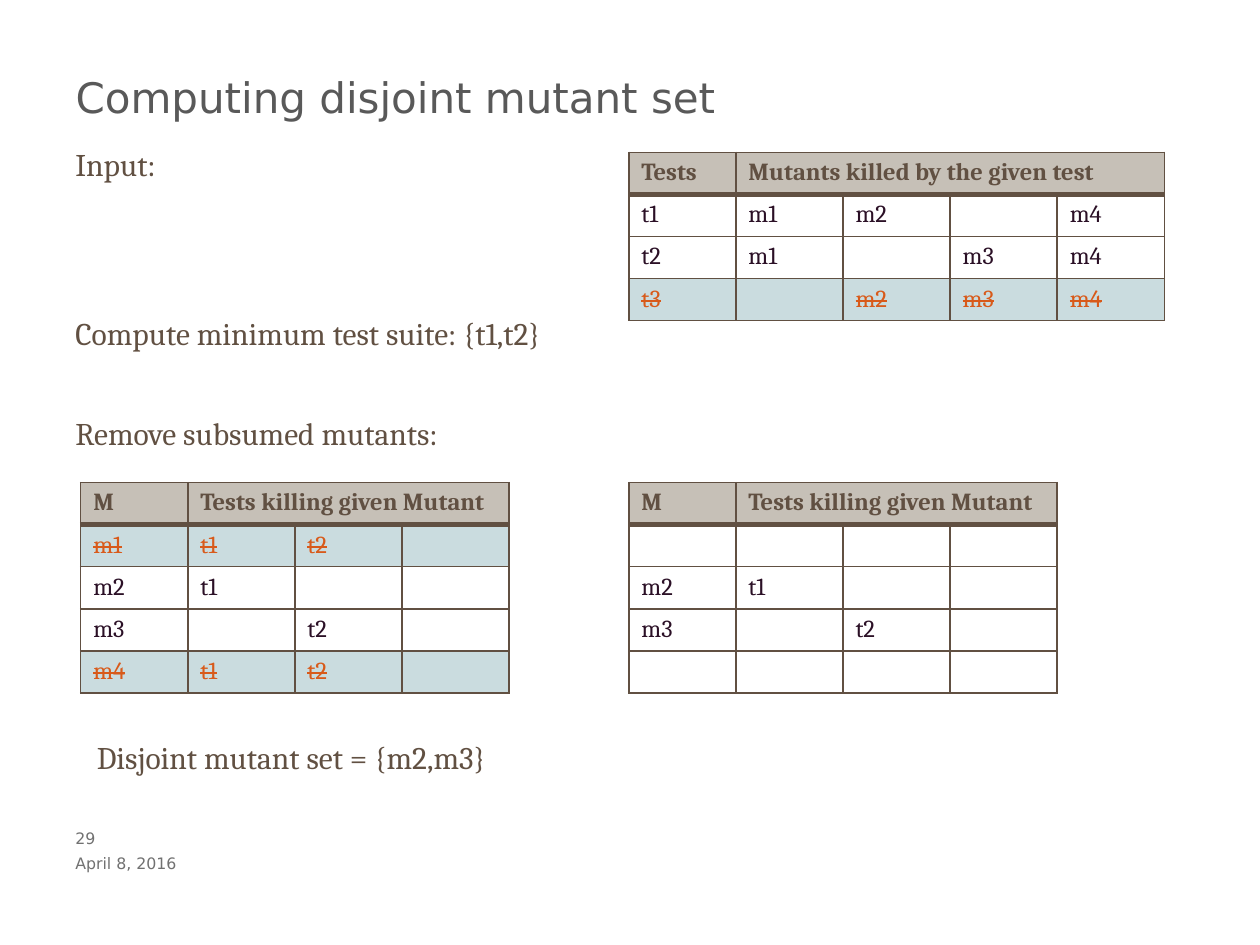
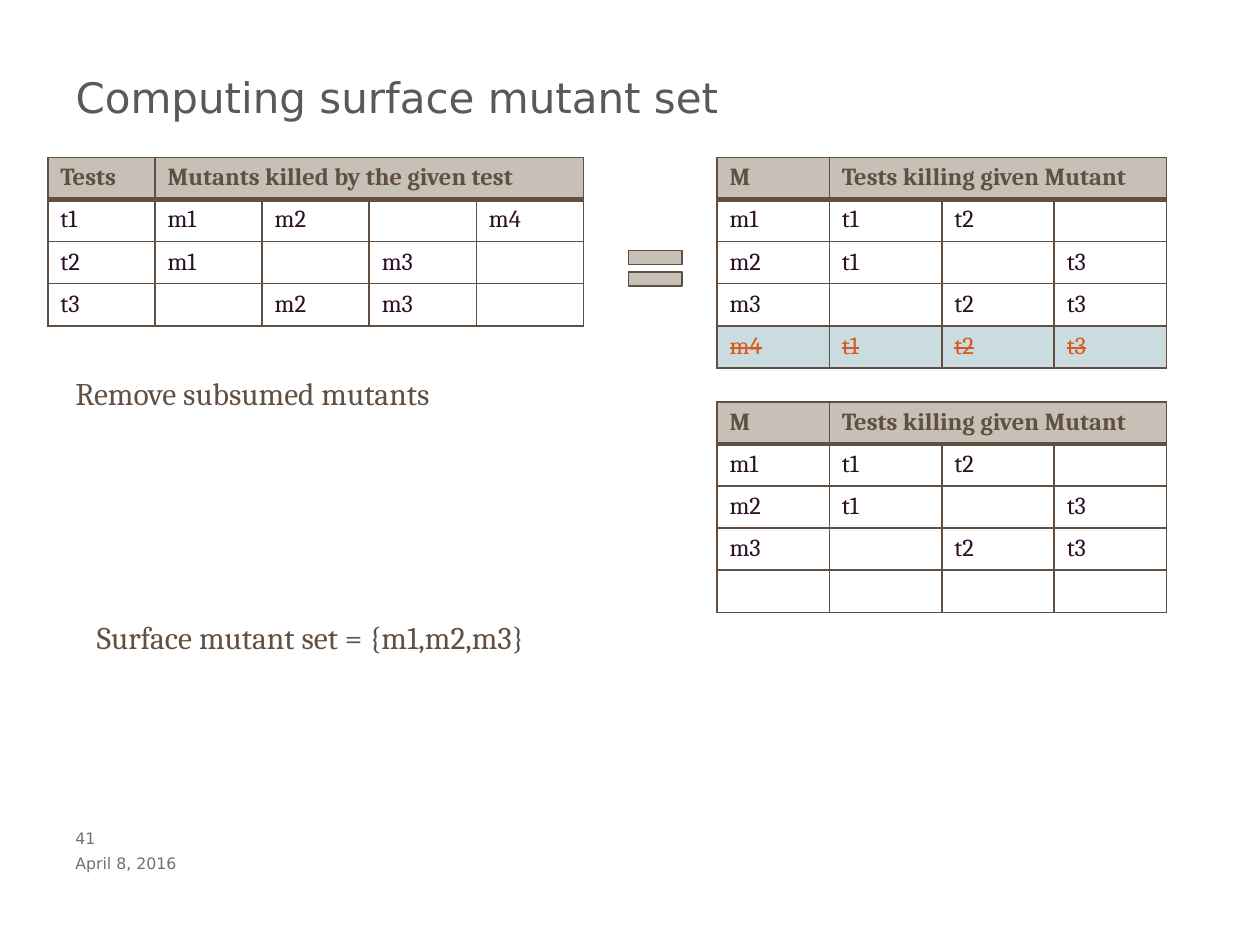
from lxml import etree
from pptx import Presentation
from pptx.dml.color import RGBColor
from pptx.enum import shapes, text
from pptx.oxml import ns
from pptx.util import Inches, Pt

BROWN = RGBColor(0x61, 0x50, 0x42)
TAUPE = RGBColor(0xC6, 0xC0, 0xB7)
PLUM = RGBColor(0x2B, 0x10, 0x26)
ORANGE = RGBColor(0xD8, 0x5A, 0x1A)
PALE_BLUE = RGBColor(0xCA, 0xDC, 0xDF)
WHITE = RGBColor(0xFF, 0xFF, 0xFF)
TITLE_GREY = RGBColor(0x59, 0x59, 0x59)
FOOTER_GREY = RGBColor(0x71, 0x71, 0x71)
SERIF = "Cambria"
SANS = "DejaVu Sans"

TESTS_HEADER = ("Tests", "Mutants killed by the given test")
MUTANTS_HEADER = ("M", "Tests killing given Mutant")


def style(p, size, color, name=SERIF, bold=False):
    p.font.size = Pt(size)
    p.font.name = name
    p.font.bold = bold
    p.font.color.rgb = color


def add_text(s, words, left, top, width, height=0.4, size=18, color=BROWN, name=SERIF):
    box = s.shapes.add_textbox(Inches(left), Inches(top), Inches(width), Inches(height))
    tf = box.text_frame
    tf.word_wrap = True
    tf.text = words
    style(tf.paragraphs[0], size, color, name)
    return tf


def add_footer(s, words, top, width):
    tf = add_text(s, words, 0.5, top, width, 0.2, 9, FOOTER_GREY, SANS)
    tf.margin_top = tf.margin_bottom = 0
    tf.vertical_anchor = text.MSO_ANCHOR.MIDDLE


def add_slide(prs, title, number):
    s = prs.slides.add_slide(prs.slide_layouts[5])
    sp = s.shapes.title
    sp.left, sp.top, sp.width, sp.height = map(Inches, (0.5, 0.5, 9, 0.75))
    tf = sp.text_frame
    tf.text = title
    tf.vertical_anchor = text.MSO_ANCHOR.TOP
    tf.margin_top = Inches(0.07)
    p = tf.paragraphs[0]
    p.alignment = text.PP_ALIGN.LEFT
    style(p, 24, TITLE_GREY, SANS)
    add_footer(s, "April 8, 2016", 6.75, 2)
    add_footer(s, number, 6.55, 0.4)
    return s


def set_borders(cell, top, bottom):
    tc_pr = cell._tc.get_or_add_tcPr()
    for side, width in (("L", 1), ("R", 1), ("T", top), ("B", bottom)):
        line = etree.SubElement(tc_pr, ns.qn(f"a:ln{side}"), w=str(Pt(width)))
        fill = etree.SubElement(line, ns.qn("a:solidFill"))
        etree.SubElement(fill, ns.qn("a:srgbClr"), val=str(BROWN))


def fill_cell(cell, words, fill, color, bold=False, struck=False):
    cell.fill.solid()
    cell.fill.fore_color.rgb = fill
    p = cell.text_frame.paragraphs[0]
    style(p, 14, color, bold=bold)
    if words:
        r = p.add_run()
        r.text = words
        if struck:
            r._r.get_or_add_rPr().set("strike", "sngStrike")


def add_kill_table(s, header, rows, left, top, col_width, row_height, removed=()):
    n_rows, n_cols = len(rows) + 1, len(rows[0])
    frame = s.shapes.add_table(n_rows, n_cols, Inches(left), Inches(top),
                               Inches(col_width * n_cols), Inches(row_height * n_rows))
    table = frame.table
    table.first_row = table.horz_banding = False
    grid = [header + ("",) * (n_cols - 2)] + rows
    for i, row in enumerate(grid):
        struck = row[0] in removed
        for j, words in enumerate(row):
            cell = table.cell(i, j)
            set_borders(cell, 3 if i == 1 else 1, 3 if i == 0 else 1)
            if i == 0:
                fill_cell(cell, words, TAUPE, BROWN, bold=True)
            elif struck:
                fill_cell(cell, words, PALE_BLUE, ORANGE, struck=True)
            else:
                fill_cell(cell, words, WHITE, PLUM)
    table.cell(0, 1).merge(table.cell(0, n_cols - 1))


def add_equal_sign(s, left, top, width, height):
    sp = s.shapes.add_shape(shapes.MSO_SHAPE.MATH_EQUAL, Inches(left), Inches(top),
                            Inches(width), Inches(height))
    sp.shadow.inherit = False
    sp.fill.solid()
    sp.fill.fore_color.rgb = TAUPE
    sp.line.color.rgb = BROWN
    sp.line.width = Pt(0.75)


def build_disjoint(prs):
    s = add_slide(prs, "Computing disjoint mutant set", "29")
    size = (0.85, 1.67 / 5)
    add_text(s, "Input:", 0.5, 1.1, 0.87)
    add_text(s, "Compute minimum test suite: {t1,t2}", 0.5, 2.44, 4.49)
    add_text(s, "Remove subsumed mutants:", 0.5, 3.24, 4.49)
    add_text(s, "Disjoint mutant set = {m2,m3}", 0.67, 5.81, 4.49)
    tests = [("t1", "m1", "m2", "", "m4"),
             ("t2", "m1", "", "m3", "m4"),
             ("t3", "", "m2", "m3", "m4")]
    add_kill_table(s, TESTS_HEADER, tests, 4.99, 1.21, *size, removed=("t3",))
    kept = [("m2", "t1", "", ""), ("m3", "", "t2", "")]
    mutants = [("m1", "t1", "t2", ""), *kept, ("m4", "t1", "t2", "")]
    add_kill_table(s, MUTANTS_HEADER, mutants, 0.64, 3.83, *size, removed=("m1", "m4"))
    blank = ("",) * 4
    add_kill_table(s, MUTANTS_HEADER, [blank, *kept, blank], 4.99, 3.83, *size)


def build_surface(prs):
    s = add_slide(prs, "Computing surface mutant set", "41")
    row_height = 1.3 / 4
    tests = [("t1", "m1", "m2", "", "m4"),
             ("t2", "m1", "", "m3", ""),
             ("t3", "", "m2", "m3", "")]
    add_kill_table(s, TESTS_HEADER, tests, 0.38, 1.25, 0.85, row_height)
    kept = [("m1", "t1", "t2", ""), ("m2", "t1", "", "t3"), ("m3", "", "t2", "t3")]
    subsumed = ("m4", "t1", "t2", "t3")
    for last, top in ((subsumed, 1.25), (("",) * 4, 3.19)):
        add_kill_table(s, MUTANTS_HEADER, [*kept, last], 5.69, top, 3.57 / 4,
                       row_height, removed=("m4",))
    add_text(s, "Remove subsumed mutants", 0.5, 2.92, 3.33)
    add_text(s, "Surface mutant set = {m1,m2,m3}", 0.67, 4.86, 8.58)
    add_equal_sign(s, 4.91, 1.89, 0.58, 0.48)


def main():
    prs = Presentation()
    prs.slide_width, prs.slide_height = Inches(10), Inches(7.5)
    build_disjoint(prs)
    build_surface(prs)
    prs.save("out.pptx")


if __name__ == "__main__":
    main()
